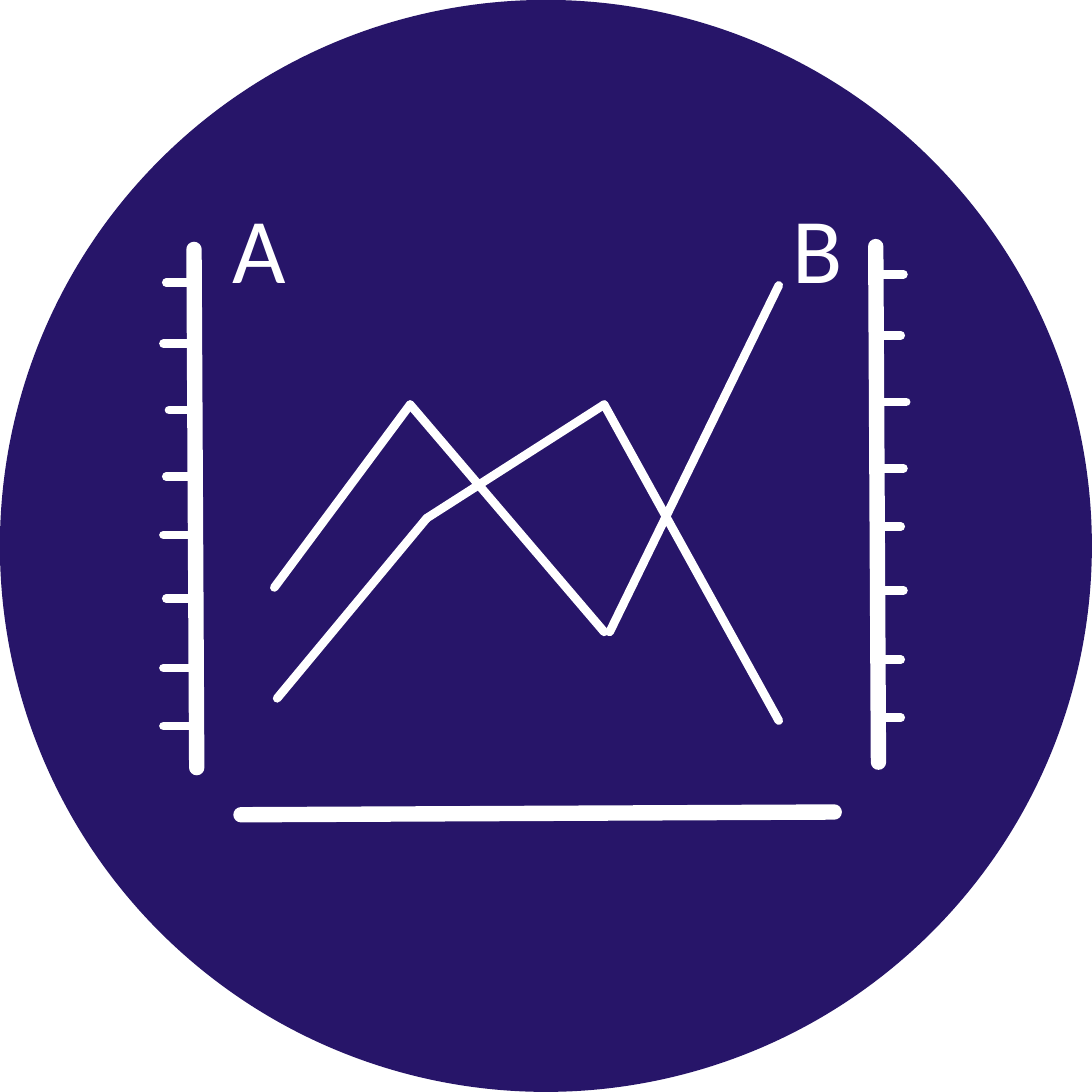
"""Build a round icon slide showing two line series between two scales."""
from dataclasses import dataclass
from itertools import pairwise

from lxml import etree
from pptx import Presentation
from pptx.dml.color import RGBColor
from pptx.enum.shapes import MSO_CONNECTOR, MSO_SHAPE
from pptx.enum.text import MSO_ANCHOR, MSO_AUTO_SIZE, PP_ALIGN
from pptx.oxml.ns import qn
from pptx.util import Inches, Pt

ELLIPSE = MSO_SHAPE.OVAL
STRAIGHT = MSO_CONNECTOR.STRAIGHT
TOP = MSO_ANCHOR.TOP
LEFT = PP_ALIGN.LEFT
GROW = MSO_AUTO_SIZE.SHAPE_TO_FIT_TEXT
BLANK_LAYOUT = 6
SLIDE_SIZE = 3.94


@dataclass(frozen=True)
class Theme:
    """Colours, type and line widths of the icon."""

    disc: RGBColor = RGBColor(0x27, 0x15, 0x69)
    ink: RGBColor = RGBColor(0xFF, 0xFF, 0xFF)
    font: str = "Calibri"
    label_size: float = 24
    axis_width: float = 4
    thin_width: float = 2.25


THEME = Theme()
TICKS = [(0.01, 0), (0, 0.22), (0.02, 0.46), (0.01, 0.7),
         (0, 0.91), (0.01, 1.14), (0, 1.39), (0, 1.6)]
TICK_LENGTH = 0.09
SERIES = [
    [(0, 1.09), (0.49, 0.43), (1.19, 1.25)],
    [(1.21, 1.25), (1.82, 0)],
    [(0.01, 1.49), (0.55, 0.84), (1.19, 0.43), (1.82, 1.57)],
]


def add_line(slide, start, end, width):
    """Draw a straight line with round ends."""
    connector = slide.shapes.add_connector(
        STRAIGHT, *(Inches(value) for value in (*start, *end)))
    connector.line.color.rgb = THEME.ink
    connector.line.width = Pt(width)
    properties = connector.element.spPr
    properties.find(qn("a:ln")).set("cap", "rnd")
    etree.SubElement(properties, qn("a:effectLst"))


def add_text(slide, text, box, *, size, color, font, alignment=LEFT):
    """Place one line of formatted text in a box."""
    shape = slide.shapes.add_textbox(*(Inches(value) for value in box))
    frame = shape.text_frame
    frame.word_wrap = True
    frame.auto_size = GROW
    frame.vertical_anchor = TOP
    paragraph = frame.paragraphs[0]
    paragraph.alignment = alignment
    run = paragraph.add_run()
    run.text = text
    run.font.name = font
    run.font.size = Pt(size)
    run.font.color.rgb = color


def draw_disc(slide, box):
    """Fill the box with the background disc."""
    disc = slide.shapes.add_shape(ELLIPSE, *(Inches(value) for value in box))
    disc.shadow.inherit = False
    disc.fill.solid()
    disc.fill.fore_color.rgb = THEME.disc
    disc.line.fill.background()


def draw_scale(slide, box, spine_offset, first_tick):
    """Draw a slightly leaning spine and its ticks in the box."""
    left, top, height = box
    spine = left + spine_offset
    add_line(slide, (spine, top), (spine + 0.01, top + height), THEME.axis_width)
    for nudge, drop in TICKS:
        x, y = left + nudge, top + first_tick + drop
        add_line(slide, (x, y), (x + TICK_LENGTH, y), THEME.thin_width)


def draw_series(slide, box):
    """Draw the crossing series from the top left corner of the box."""
    left, top = box
    for points in SERIES:
        placed = [(left + x, top + y) for x, y in points]
        for start, end in pairwise(placed):
            add_line(slide, start, end, THEME.thin_width)


def draw_labels(slide, box):
    """Put the scale names at the two top corners of the box."""
    left, top, width, height = box
    label_width = 0.25
    for text, x in (("A", left), ("B", left + width - label_width)):
        add_text(slide, text, (x, top, label_width, height),
                 size=THEME.label_size, color=THEME.ink, font=THEME.font)


def main():
    """Assemble and save the presentation."""
    presentation = Presentation()
    presentation.slide_width = presentation.slide_height = Inches(SLIDE_SIZE)
    slide = presentation.slides.add_slide(presentation.slide_layouts[BLANK_LAYOUT])
    draw_disc(slide, (0, 0, SLIDE_SIZE, SLIDE_SIZE))
    add_line(slide, (3.01, 2.93), (0.87, 2.94), THEME.axis_width)
    draw_series(slide, (0.99, 1.03))
    draw_scale(slide, (0.59, 0.9, 1.87), spine_offset=0.11, first_tick=0.12)
    draw_scale(slide, (3.16, 0.89, 1.86), spine_offset=0, first_tick=0.1)
    draw_labels(slide, (0.74, 0.64, 2.27, 0.5))
    presentation.save("out.pptx")


main()
